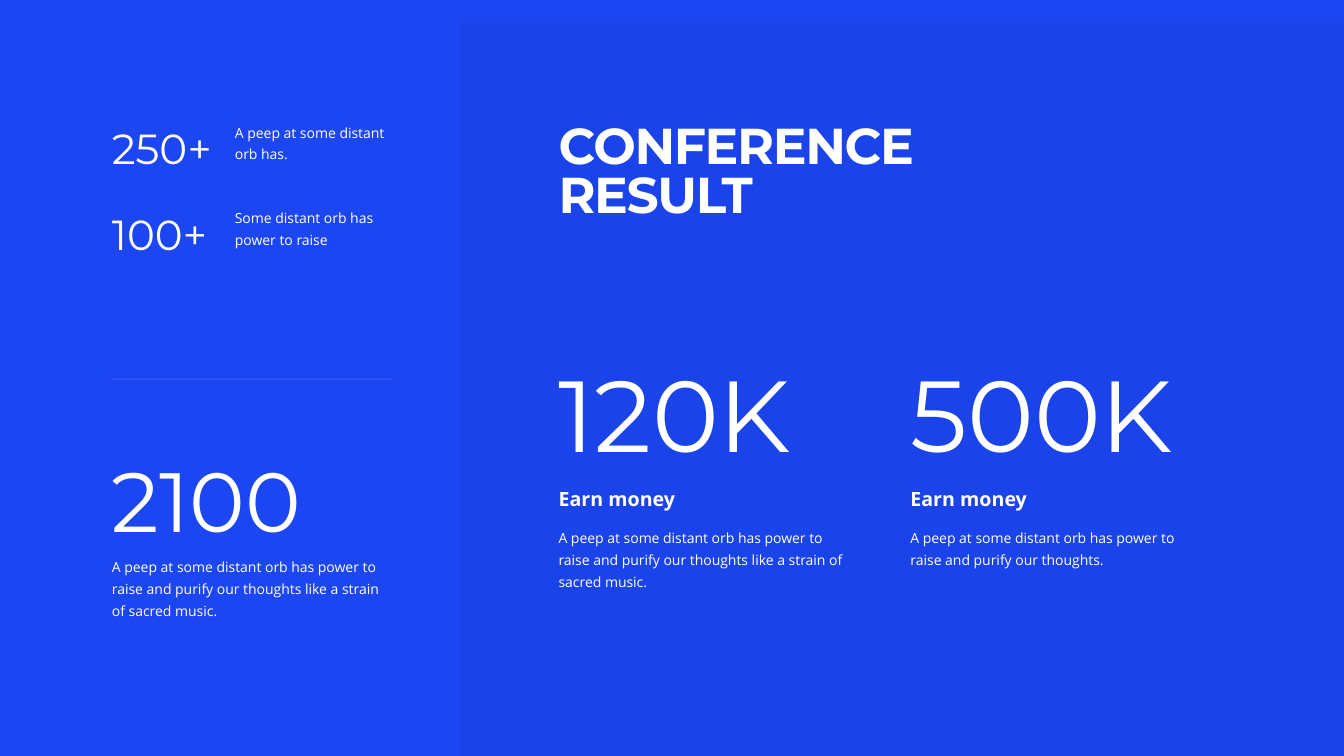
from dataclasses import dataclass

from lxml.etree import SubElement
from pptx import Presentation
from pptx.dml.color import RGBColor
from pptx.enum.shapes import MSO_CONNECTOR, MSO_SHAPE
from pptx.enum.text import MSO_AUTO_SIZE
from pptx.oxml.ns import qn
from pptx.util import Inches, Pt


@dataclass(frozen=True)
class Theme:
    blue: RGBColor = RGBColor(0x1D, 0x46, 0xF3)
    white: RGBColor = RGBColor(0xFF, 0xFF, 0xFF)
    display: str = "Montserrat"
    text: str = "Open Sans"
    huge: int = 72
    large: int = 60
    title: int = 36
    medium: int = 30
    heading: int = 14
    body: int = 10


T = Theme()
PURIFY = "A peep at some distant orb has power to raise and purify our thoughts"
SACRED = PURIFY + " like a strain of sacred music."


def style(size, name=T.text, bold=False, spacing=1.0):
    return {"font": {"size": Pt(size), "name": name, "bold": bold}, "spacing": spacing}


TITLE = style(T.title, T.display, bold=True, spacing=0.8)
HUGE = style(T.huge, T.display)
LARGE = style(T.large, T.display, spacing=1.3)
MEDIUM = style(T.medium, T.display, spacing=1.3)
HEADING = style(T.heading, bold=True)
BODY = style(T.body, spacing=1.3)


def set_alpha(fill, percent):
    color = fill._xPr.find(qn("a:solidFill"))[0]
    SubElement(color, qn("a:alpha"), val=str(percent * 1000))


def add_text(shapes, box, paragraphs, right=0.24):
    """Write (text, style) pairs into a box that grows with its text."""
    sp = shapes.add_textbox(*map(Inches, box))
    tf = sp.text_frame
    frame = {"word_wrap": True, "auto_size": MSO_AUTO_SIZE.SHAPE_TO_FIT_TEXT,
             "margin_left": 0, "margin_right": Inches(right),
             "margin_top": Inches(0.04), "margin_bottom": Inches(0.04)}
    for key, value in frame.items():
        setattr(tf, key, value)
    for i, (text, look) in enumerate(paragraphs):
        p = tf.add_paragraph() if i else tf.paragraphs[0]
        p.line_spacing = look["spacing"]
        if i:
            p.space_before = Pt(10)
        p.text = text
        for r in p.runs:
            for key, value in look["font"].items():
                setattr(r.font, key, value)
            r.font.color.rgb = T.white
    return tf


def add_panel(s, left, top, width, height):
    sp = s.shapes.add_shape(MSO_SHAPE.RECTANGLE, *map(Inches, (left, top, width, height)))
    sp.fill.solid()
    sp.fill.fore_color.rgb = T.blue
    set_alpha(sp.fill, 60)
    sp.line.fill.background()
    sp.shadow.inherit = False
    effects = sp._element.spPr.find(qn("a:effectLst"))
    shadow = SubElement(effects, qn("a:outerShdw"), blurRad=str(Pt(3)), dist=str(Pt(1)),
                        dir="5400000", algn="t", rotWithShape="0")
    color = SubElement(shadow, qn("a:srgbClr"), val="000000")
    SubElement(color, qn("a:alpha"), val="15000")


def add_title(s, left, top, width, height):
    tf = add_text(s.shapes, (left, top, width, height), [("CONFERENCE\vRESULT", TITLE)], right=0)
    tf.auto_size = MSO_AUTO_SIZE.NONE
    tf.margin_top, tf.margin_bottom = Inches(0.21), 0
    for r in tf.paragraphs[0].runs:
        r.font._element.set("spc", "-100")


def add_divider(s, left, top, width):
    line = s.shapes.add_connector(MSO_CONNECTOR.STRAIGHT, Inches(left), Inches(top),
                                  Inches(left + width), Inches(top))
    line.line.width = Pt(0.5)
    line.line.color.rgb = T.white
    set_alpha(line.line.fill, 20)
    SubElement(line._element.spPr, qn("a:effectLst"))


def add_side_stat(s, left, top, number, caption):
    """Group a number with the caption to its right."""
    shapes = s.shapes.add_group_shape().shapes
    add_text(shapes, (left, top, 1.14, 0.68), [(number, MEDIUM)], right=0)
    add_text(shapes, (left + 1.22, top + 0.11, 1.73, 0.52), [(caption, BODY)])


def add_sidebar(s, left, top):
    stats = [("250+", "A peep at some distant orb has."),
             ("100+", "Some distant orb has power to raise")]
    for i, (number, caption) in enumerate(stats):
        add_side_stat(s, left, top + 0.85 * i, number, caption)
    add_divider(s, left, top + 2.73, 2.79)
    add_text(s.shapes, (left, top + 3.08, 2.4, 1.27), [("2100", LARGE)], right=0)
    add_text(s.shapes, (left, top + 4.42, 2.95, 0.74), [(SACRED, BODY)])


def add_results(s, left, top):
    results = [("120K", SACRED, 2.46), ("500K", PURIFY + ".", 2.24)]
    for i, (number, caption, height) in enumerate(results):
        add_text(s.shapes, (left + 3.49 * i, top, 3.2, height),
                 [(number, HUGE), ("Earn money", HEADING), (caption, BODY)])


def main():
    prs = Presentation()
    prs.slide_width, prs.slide_height = Inches(13.33), Inches(7.5)
    s = prs.slides.add_slide(prs.slide_layouts[6])
    s.background.fill.solid()
    s.background.fill.fore_color.rgb = T.blue
    add_panel(s, 4.59, 0.23, 8.9, 7.5)
    add_title(s, 5.54, 1.04, 6.69, 1.37)
    add_sidebar(s, 1.11, 1.03)
    add_results(s, 5.54, 3.45)
    prs.save("out.pptx")


if __name__ == "__main__":
    main()
